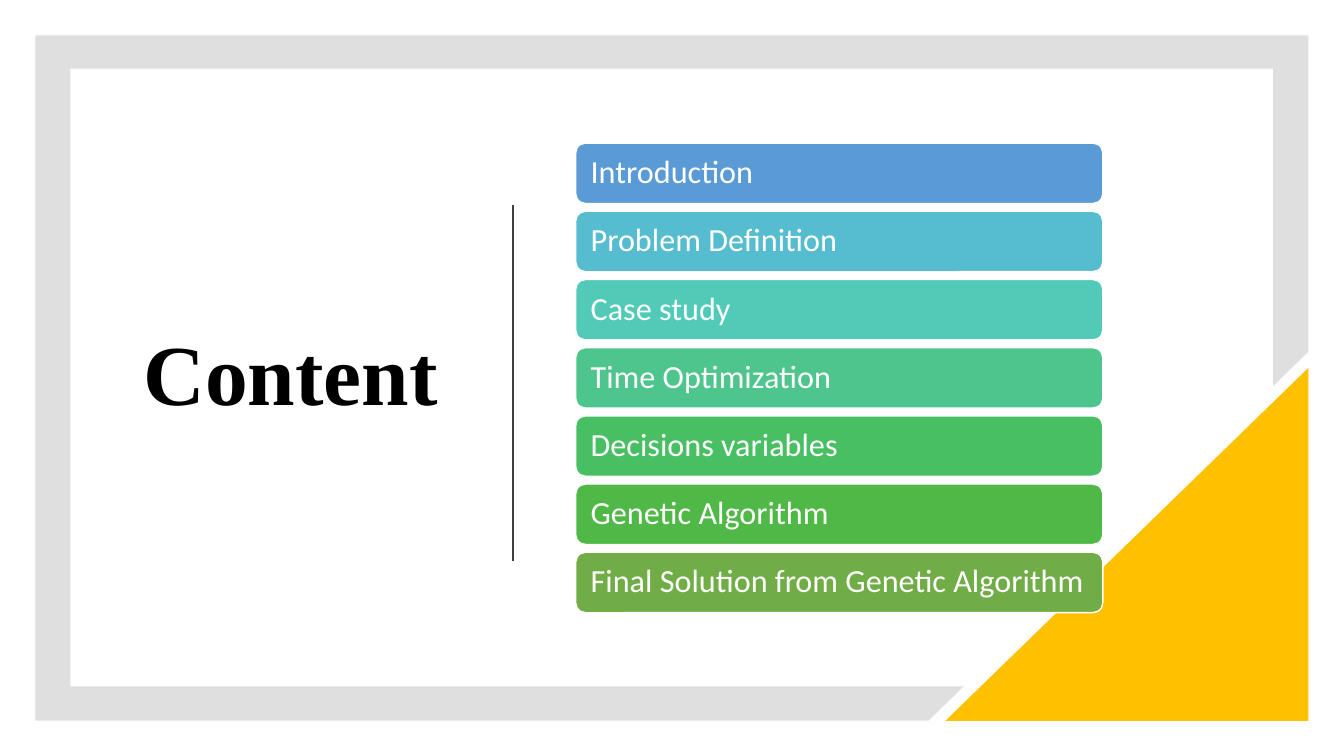
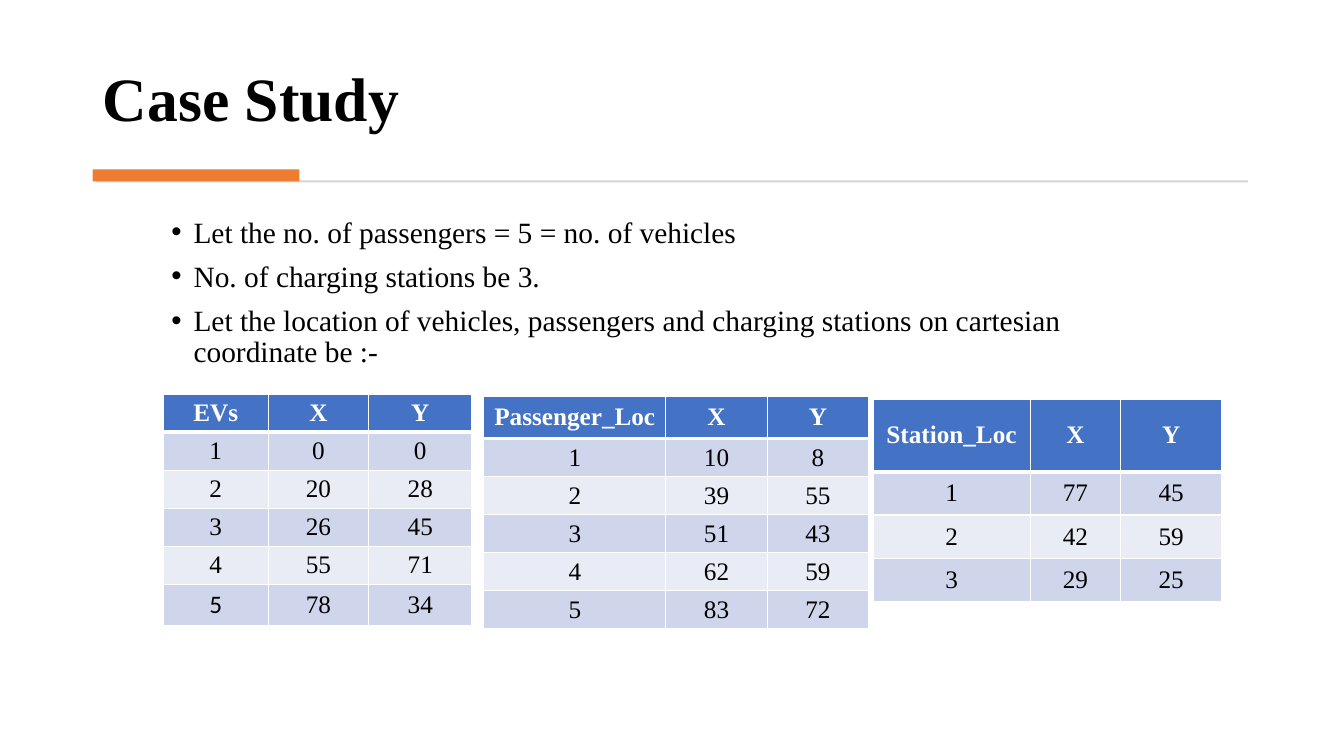
from lxml.etree import SubElement
from pptx import Presentation
from pptx.dml.color import RGBColor
from pptx.enum.shapes import MSO_CONNECTOR, MSO_SHAPE
from pptx.enum.text import MSO_ANCHOR, MSO_AUTO_SIZE, PP_ALIGN
from pptx.oxml.ns import qn
from pptx.util import Inches, Pt

BLACK = RGBColor(0x00, 0x00, 0x00)
WHITE = RGBColor(0xFF, 0xFF, 0xFF)
GRAY = RGBColor(0x80, 0x80, 0x80)
RULE_GRAY = RGBColor(0xD5, 0xD5, 0xD5)
DIVIDER = RGBColor(0x40, 0x40, 0x40)
GOLD = RGBColor(0xFF, 0xC0, 0x00)
ORANGE = RGBColor(0xED, 0x7D, 0x31)
HEADER_BLUE = RGBColor(0x44, 0x72, 0xC4)
BANDS = (RGBColor(0xCF, 0xD5, 0xEA), RGBColor(0xE9, 0xEB, 0xF5))
SERIF, SANS = "Times New Roman", "Calibri"

AGENDA = [
    ("Introduction", RGBColor(0x5B, 0x9B, 0xD5)),
    ("Problem Definition", RGBColor(0x56, 0xBC, 0xD0)),
    ("Case study", RGBColor(0x52, 0xCA, 0xB8)),
    ("Time Optimization", RGBColor(0x4D, 0xC5, 0x8D)),
    ("Decisions variables", RGBColor(0x49, 0xBF, 0x64)),
    ("Genetic Algorithm", RGBColor(0x50, 0xB8, 0x46)),
    ("Final Solution from Genetic Algorithm", RGBColor(0x70, 0xAD, 0x47)),
]
ASSUMPTIONS = [
    "Let the no. of passengers = 5 = no. of vehicles",
    "No. of charging stations be 3.",
    "Let the location of vehicles, passengers and charging stations "
    "on cartesian coordinate be :-",
]
LOCATIONS = [
    {
        "corner": (12.15, 52.13),
        "columns": (7.8, 7.5, 7.65),
        "rows": (5.03, 5.03, 5.03, 5.03, 5.03, 5.47),
        "cells": [("EVs", "X", "Y"), (1, 0, 0), (2, 20, 28),
                  (3, 26, 45), (4, 55, 71), (5, 78, 34)],
        "sans_cell": (5, 0),
    },
    {
        "corner": (36, 52.4),
        "columns": (13.54, 7.55, 7.55),
        "rows": (5.6, 5.03, 5.03, 5.03, 5.03, 5.03),
        "cells": [("Passenger_Loc", "X", "Y"), (1, 10, 8), (2, 39, 55),
                  (3, 51, 43), (4, 62, 59), (5, 83, 72)],
        "sans_cell": None,
    },
    {
        "corner": (64.95, 52.8),
        "columns": (11.7, 6.75, 7.5),
        "rows": (9.6, 5.73, 5.73, 5.73),
        "cells": [("Station_Loc", "X", "Y"), (1, 77, 45),
                  (2, 42, 59), (3, 29, 25)],
        "sans_cell": None,
    },
]
FRAME = [(2.63, 4.67), (97.35, 4.67), (97.35, 46.53), (94.73, 51.07),
         (94.73, 9.07), (5.25, 9.07), (5.25, 90.8), (71.7, 90.8),
         (69.08, 95.33), (2.63, 95.33)]
BAR = (42.83, 18.93, 39.23, 8)
BAR_PITCH = 9.02

deck = Presentation()
deck.slide_width, deck.slide_height = Inches(13.33), Inches(7.5)


def across(share):
    return round(deck.slide_width * share / 100)


def down(share):
    return round(deck.slide_height * share / 100)


def area(left, top, width, height):
    return across(left), down(top), across(width), down(height)


def set_all(target, values):
    for name, value in values.items():
        setattr(target, name, value)


def write(paragraph, text, size, color, face=SERIF, bold=False, **layout):
    run = paragraph.add_run()
    run.text = text
    set_all(run.font, {"size": Pt(size), "name": face, "bold": bold})
    run.font.color.rgb = color
    set_all(paragraph, layout)


def place(holder, box, anchor):
    set_all(holder, dict(zip(("left", "top", "width", "height"), area(*box))))
    set_all(holder.text_frame, {"vertical_anchor": anchor, "word_wrap": True,
                                "auto_size": MSO_AUTO_SIZE.NONE})


def add_title(slide, text, box, size, anchor, align):
    title = slide.shapes.title
    place(title, box, anchor)
    write(title.text_frame.paragraphs[0], text, size, BLACK, bold=True,
          alignment=align, line_spacing=0.9)


def paint(shape, color):
    shape.shadow.inherit = False
    shape.fill.solid()
    shape.fill.fore_color.rgb = color
    shape.line.fill.background()


def add_block(slide, preset, box, color):
    block = slide.shapes.add_shape(preset, *area(*box))
    paint(block, color)
    return block


def add_borders(cell, header):
    properties = cell._tc.get_or_add_tcPr()
    for side in ("lnL", "lnR", "lnT", "lnB"):
        width = Pt(3 if header and side == "lnB" else 1)
        border = SubElement(properties, qn(f"a:{side}"), w=str(width))
        fill = SubElement(border, qn("a:solidFill"))
        SubElement(fill, qn("a:srgbClr"), val=str(WHITE))


def add_locations(slide, corner, columns, rows, cells, sans_cell):
    grid = slide.shapes.add_table(
        len(rows), len(columns), *area(*corner, sum(columns), sum(rows))).table
    for column, share in zip(grid.columns, columns):
        column.width = across(share)
    for r, (row, share) in enumerate(zip(grid.rows, rows)):
        row.height = down(share)
        header = r == 0
        for c, value in enumerate(cells[r]):
            cell = grid.cell(r, c)
            set_all(cell, {"vertical_anchor": MSO_ANCHOR.MIDDLE,
                           "margin_left": Inches(0.07), "margin_right": Inches(0.07),
                           "margin_top": Inches(0.04), "margin_bottom": Inches(0.04)})
            add_borders(cell, header)
            cell.fill.solid()
            cell.fill.fore_color.rgb = HEADER_BLUE if header else BANDS[(r - 1) % 2]
            write(cell.text_frame.paragraphs[0], str(value), 18,
                  WHITE if header else BLACK,
                  SANS if (r, c) == sans_cell else SERIF, header,
                  alignment=PP_ALIGN.CENTER)


content = deck.slides.add_slide(deck.slide_layouts[5])
corners = [(across(x), down(y)) for x, y in FRAME]
outline = content.shapes.build_freeform(*corners[0])
outline.add_line_segments(corners[1:], close=True)
frame = outline.convert_to_shape()
paint(frame, GRAY)
frame_color = frame.element.spPr.find(f".//{qn('a:srgbClr')}")
SubElement(frame_color, qn("a:alpha"), val="25000")

wedge = add_block(content, MSO_SHAPE.RIGHT_TRIANGLE, (70.35, 48.67, 27, 46.67), GOLD)
wedge.element.spPr.find(qn("a:xfrm")).set("flipH", "1")
add_title(content, "Content", (8.25, 17.33, 25.05, 65.33), 61,
          MSO_ANCHOR.MIDDLE, PP_ALIGN.RIGHT)

divider = content.shapes.add_connector(
    MSO_CONNECTOR.STRAIGHT, across(38.18), down(27.07), across(38.18), down(74.27))
divider.line.color.rgb = DIVIDER
divider.line.width = Pt(1.5)
SubElement(divider.element.spPr, qn("a:effectLst"))

left, top, width, height = BAR
for i, (topic, color) in enumerate(AGENDA):
    bar = add_block(content, MSO_SHAPE.ROUNDED_RECTANGLE,
                    (left, top + i * BAR_PITCH, width, height), color)
    bar.line.color.rgb = WHITE
    bar.line.width = Pt(1)
    set_all(bar.text_frame, {"margin_left": Inches(0.12), "margin_right": Inches(0.1),
                             "vertical_anchor": MSO_ANCHOR.MIDDLE, "word_wrap": True})
    write(bar.text_frame.paragraphs[0], topic, 23, WHITE, SANS,
          alignment=PP_ALIGN.LEFT, line_spacing=0.9)

case = deck.slides.add_slide(deck.slide_layouts[1])
add_title(case, "Case Study", (6.9, 3.73, 86.18, 14.8), 44,
          MSO_ANCHOR.BOTTOM, PP_ALIGN.LEFT)
add_block(case, MSO_SHAPE.RECTANGLE, (7.13, 23.87, 85.73, 0.27), RULE_GRAY)
add_block(case, MSO_SHAPE.RECTANGLE, (6.9, 22.4, 15.38, 1.6), ORANGE)

body = case.placeholders[1]
place(body, (12, 28.13, 75.98, 63.6), MSO_ANCHOR.TOP)
for i, assumption in enumerate(ASSUMPTIONS):
    frame_text = body.text_frame
    bullet = frame_text.add_paragraph() if i else frame_text.paragraphs[0]
    write(bullet, assumption, 21, BLACK, line_spacing=0.9, space_before=Pt(8.8))
    bullet_format = bullet._p.get_or_add_pPr()
    bullet_format.set("marL", str(Inches(0.22)))
    bullet_format.set("indent", str(-Inches(0.22)))

for location in LOCATIONS:
    add_locations(case, **location)

deck.save("out.pptx")
